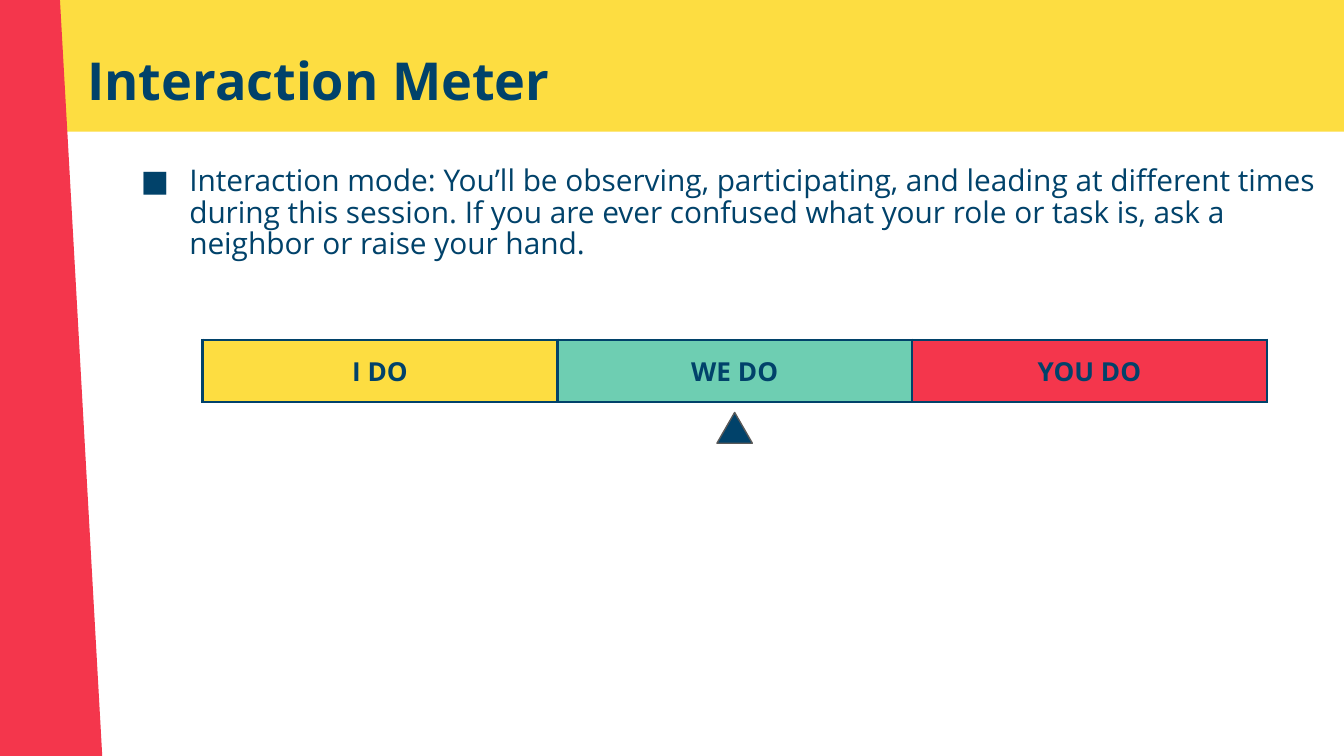
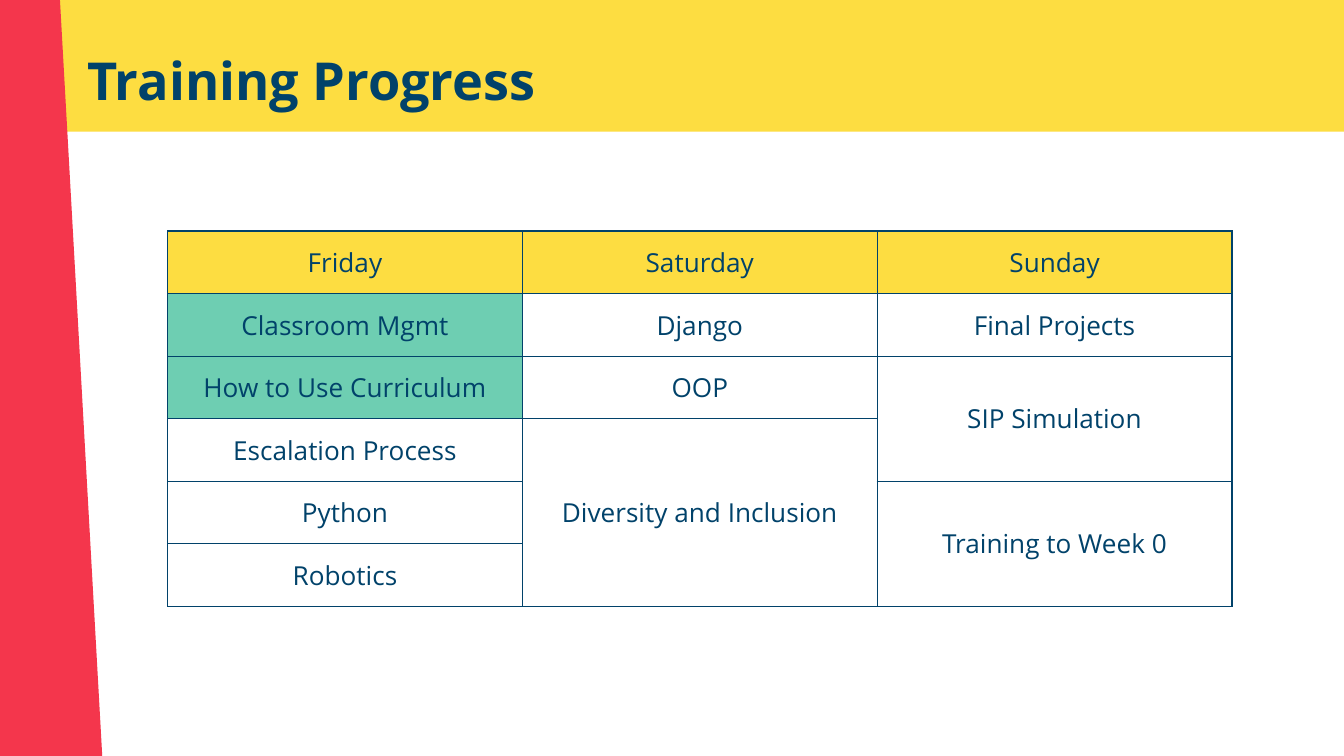
from dataclasses import dataclass
from itertools import product

import pptx
import pptx.dml.color
import pptx.enum.shapes
import pptx.enum.text
import pptx.oxml
import pptx.oxml.ns
import pptx.util
from lxml import etree

Pt = pptx.util.Pt
RGB = pptx.dml.color.RGBColor.from_string
SHAPE = pptx.enum.shapes.MSO_SHAPE
ALIGN = pptx.enum.text.PP_ALIGN
ANCHOR = pptx.enum.text.MSO_ANCHOR
qn = pptx.oxml.ns.qn


@dataclass(frozen=True)
class Theme:
    font: str = "Open Sans"
    navy: str = "01426A"
    yellow: str = "FDDD41"
    red: str = "F4364C"
    green: str = "6ECEB2"
    grey: str = "595959"
    title_size: int = 28
    body_size: int = 16
    table_size: int = 14
    inset: float = 7.2


THEME = Theme()

SLIDE_SIZE = (720, 405)
BAND_BOX = (-60.5, -1.4, 792, 72)
STRIPE_BOX = (-369.4, 50.4, 735.1, 77.8)
STRIPE_ANGLE = 86.8
TITLE_BOX = (39.6, 18.7, 671, 45.4)
BODY_BOX = (58.3, 82.1, 671, 269.3)
METER_BOX = (108.5, 182, 570.2, 33.5)
SCHEDULE_BOX = (89.8, 123.8, 570.2, 201)

INTRODUCTION = (
    "Interaction mode: You’ll be observing, participating, and leading at different times "
    "during this session. If you are ever confused what your role or task is, ask a "
    "neighbor or raise your hand."
)
MODES = [("I DO", THEME.yellow), ("WE DO", THEME.green), ("YOU DO", THEME.red)]
CURRENT_MODE = 1

# Each day lists its sessions and the number of rows each one takes.
SCHEDULE = {
    "Friday": [("Classroom Mgmt", 1), ("How to Use Curriculum", 1),
               ("Escalation Process", 1), ("Python", 1), ("Robotics", 1)],
    "Saturday": [("Django", 1), ("OOP", 1), ("Diversity and Inclusion", 3)],
    "Sunday": [("Final Projects", 1), ("SIP Simulation", 2), ("Training to Week 0", 2)],
}
FINISHED = {"Classroom Mgmt", "How to Use Curriculum"}


def points(box):
    return [Pt(length) for length in box]


def style_font(paragraph, size, bold=False):
    paragraph.font.name = THEME.font
    paragraph.font.size = Pt(size)
    paragraph.font.bold = bold
    paragraph.font.color.rgb = RGB(THEME.navy)


def set_insets(holder):
    """Give a text frame or table cell the same margin on every side."""
    for side in ("left", "top", "right", "bottom"):
        setattr(holder, f"margin_{side}", Pt(THEME.inset))


def add_filled_shape(slide, kind, box, color):
    shape = slide.shapes.add_shape(kind, *points(box))
    shape.shadow.inherit = False
    shape.fill.solid()
    shape.fill.fore_color.rgb = RGB(color)
    shape.line.fill.background()
    return shape


def add_titled_slide(presentation, heading):
    slide = presentation.slides.add_slide(presentation.slide_layouts[5])
    add_filled_shape(slide, SHAPE.RECTANGLE, BAND_BOX, THEME.yellow)
    stripe = add_filled_shape(slide, SHAPE.RECTANGLE, STRIPE_BOX, THEME.red)
    stripe.rotation = STRIPE_ANGLE

    title = slide.shapes.title
    title.left, title.top, title.width, title.height = points(TITLE_BOX)
    title.element.getparent().append(title.element)  # in front of the bands
    frame = title.text_frame
    frame.text = heading
    frame.word_wrap = True
    frame.auto_size = pptx.enum.text.MSO_AUTO_SIZE.NONE
    frame.vertical_anchor = ANCHOR.TOP
    set_insets(frame)
    paragraph = frame.paragraphs[0]
    paragraph.alignment = ALIGN.LEFT
    style_font(paragraph, THEME.title_size, bold=True)
    return slide


def add_bullet(paragraph, symbol, margin, indent):
    properties = paragraph._p.get_or_add_pPr()
    properties.set("marL", str(Pt(margin)))
    properties.set("indent", str(Pt(indent)))
    color = etree.SubElement(properties, qn("a:buClr"))
    etree.SubElement(color, qn("a:srgbClr"), val=THEME.navy)
    etree.SubElement(properties, qn("a:buFont"), typeface=THEME.font)
    etree.SubElement(properties, qn("a:buChar"), char=symbol)


def add_introduction(slide, box):
    frame = slide.shapes.add_textbox(*points(box)).text_frame
    frame.word_wrap = True
    set_insets(frame)
    paragraph = frame.paragraphs[0]
    paragraph.text = INTRODUCTION
    add_bullet(paragraph, "■", margin=36, indent=-26)
    paragraph.line_spacing = 0.88
    style_font(paragraph, THEME.body_size)


def add_borders(cell, width):
    properties = cell._tc.get_or_add_tcPr()
    for side in ("lnL", "lnR", "lnT", "lnB"):
        line = etree.SubElement(properties, qn(f"a:{side}"), w=str(Pt(width)))
        fill = etree.SubElement(line, qn("a:solidFill"))
        etree.SubElement(fill, qn("a:srgbClr"), val=THEME.navy)


def add_grid(slide, box, row_count, column_count, border):
    """Add an unfilled table of equal columns and rows, with borders."""
    table = slide.shapes.add_table(row_count, column_count, *points(box)).table
    table.first_row = table.horz_banding = False
    for column in table.columns:
        column.width = Pt(box[2] / column_count)
    for row in table.rows:
        row.height = Pt(box[3] / row_count)
    for position in product(range(row_count), range(column_count)):
        cell = table.cell(*position)
        add_borders(cell, border)
        cell.fill.background()
        set_insets(cell)
        style_font(cell.text_frame.paragraphs[0], THEME.table_size)
    return table


def fill_cell(cell, text, color=None, bold=False):
    cell.vertical_anchor = ANCHOR.MIDDLE
    paragraph = cell.text_frame.paragraphs[0]
    paragraph.text = text
    paragraph.alignment = ALIGN.CENTER
    style_font(paragraph, THEME.table_size, bold)
    if color:
        cell.fill.solid()
        cell.fill.fore_color.rgb = RGB(color)


def add_meter(slide, box):
    left, top, width, height = box
    table = add_grid(slide, box, 1, len(MODES), border=1.5)
    for column, (label, color) in enumerate(MODES):
        fill_cell(table.cell(0, column), label, color, bold=True)

    pointer_width, pointer_height, gap = 19, 16.5, 5.5
    center = left + width * (CURRENT_MODE + 0.5) / len(MODES)
    pointer_box = (center - pointer_width / 2, top + height + gap, pointer_width, pointer_height)
    pointer = add_filled_shape(slide, SHAPE.ISOSCELES_TRIANGLE, pointer_box, THEME.navy)
    pointer.line.color.rgb = RGB(THEME.grey)
    pointer.line.width = Pt(0.75)


def add_schedule(slide, box):
    row_count = 1 + max(sum(span for _, span in sessions) for sessions in SCHEDULE.values())
    table = add_grid(slide, box, row_count, len(SCHEDULE), border=0.75)
    for column, (day, sessions) in enumerate(SCHEDULE.items()):
        fill_cell(table.cell(0, column), day, THEME.yellow)
        row = 1
        for session, span in sessions:
            cell = table.cell(row, column)
            if span > 1:
                cell.merge(table.cell(row + span - 1, column))
            fill_cell(cell, session, THEME.green if session in FINISHED else None)
            row += span


def main():
    presentation = pptx.Presentation()
    presentation.slide_width, presentation.slide_height = points(SLIDE_SIZE)

    slide = add_titled_slide(presentation, "Interaction Meter")
    add_introduction(slide, BODY_BOX)
    add_meter(slide, METER_BOX)

    slide = add_titled_slide(presentation, "Training Progress")
    add_schedule(slide, SCHEDULE_BOX)

    presentation.save("out.pptx")


if __name__ == "__main__":
    main()
